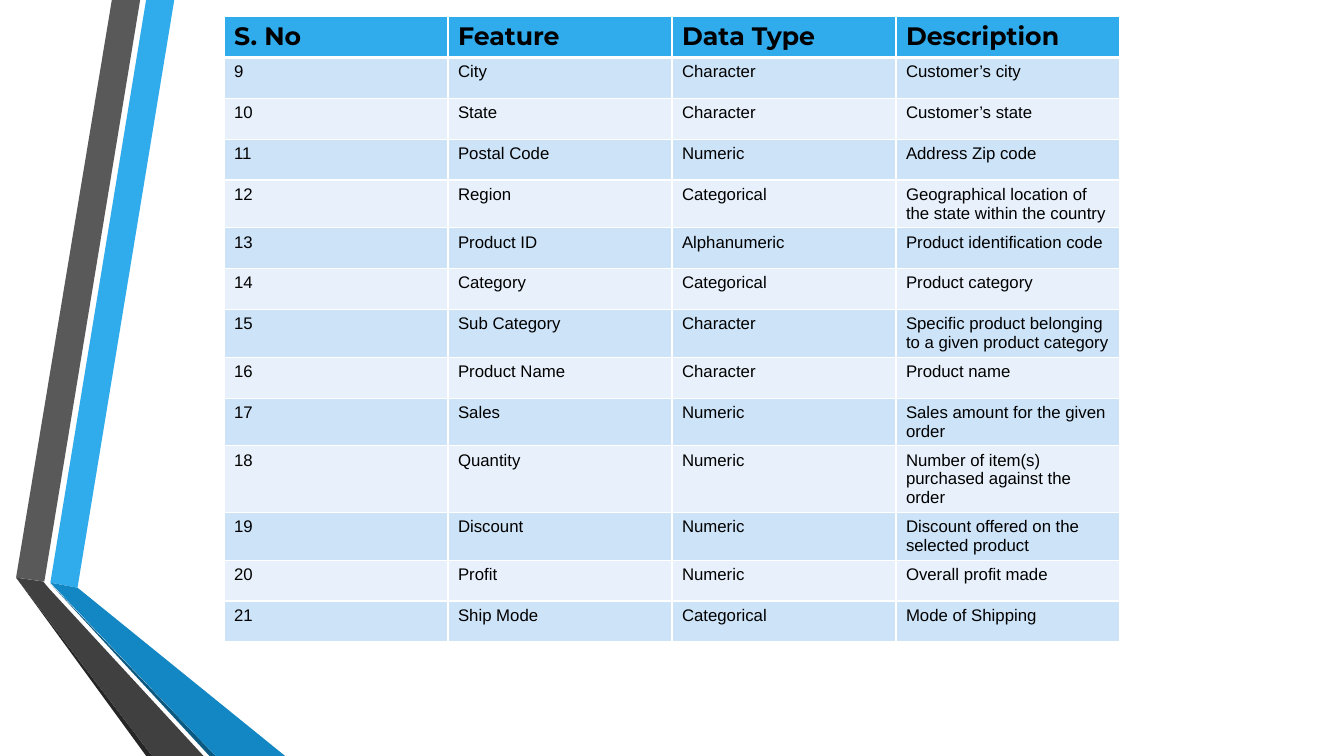
from lxml.etree import SubElement
from pptx import Presentation
from pptx.dml.color import RGBColor
from pptx.oxml.ns import qn
from pptx.util import Pt

SKY = RGBColor(0x30, 0xAC, 0xEC)
BLUE = RGBColor(0x12, 0x87, 0xC3)
DEEP_BLUE = RGBColor(0x0C, 0x5A, 0x82)
GRAY = RGBColor(0x59, 0x59, 0x59)
DARK_GRAY = RGBColor(0x40, 0x40, 0x40)
CHARCOAL = RGBColor(0x26, 0x26, 0x26)
BAND_DARK = RGBColor(0xCD, 0xE3, 0xF8)
BAND_LIGHT = RGBColor(0xE8, 0xF1, 0xFB)
WHITE = RGBColor(0xFF, 0xFF, 0xFF)
BLACK = RGBColor(0, 0, 0)

SLIDE_WIDTH, SLIDE_HEIGHT = 960, 540
RIBBON_BOX = (11.5, 0, 192.2, SLIDE_HEIGHT)
TABLE_BOX = (160, 11.8, 640, 405.6)
HEADER_HEIGHT = 26

RIBBONS = [
    (SKY, [(24.5, 416.2), (43.9, 419.8), (113, 0), (92.9, 0)]),
    (GRAY, [(88.6, 0), (68.4, 0), (0, 412.6), (20.2, 415.4)]),
    (CHARCOAL, [(0, 412.6), (92.9, 540), (97.2, 540)]),
    (DEEP_BLUE, [(24.5, 416.9), (138.2, 540), (142.6, 540)]),
    (BLUE, [(24.5, 416.2), (142.6, 540), (192.2, 540), (43.9, 419.8)]),
    (DARK_GRAY, [(133.9, 540), (23, 419.8), (19.4, 415.4), (0, 412.6), (97.2, 540)]),
]

HEADINGS = ("S. No", "Feature", "Data Type", "Description")
FIRST_NUMBER = 9
FEATURES = [
    ("City", "Character", "Customer’s city"),
    ("State", "Character", "Customer’s state"),
    ("Postal Code", "Numeric", "Address Zip code"),
    ("Region", "Categorical", "Geographical location of the state within the country"),
    ("Product ID", "Alphanumeric", "Product identification code"),
    ("Category", "Categorical", "Product category"),
    ("Sub Category", "Character", "Specific product belonging to a given product category"),
    ("Product Name", "Character", "Product name"),
    ("Sales", "Numeric", "Sales amount for the given order"),
    ("Quantity", "Numeric", "Number of item(s) purchased against the order"),
    ("Discount", "Numeric", "Discount offered on the selected product"),
    ("Profit", "Numeric", "Overall profit made"),
    ("Ship Mode", "Categorical", "Mode of Shipping"),
]

HEADER_FONT = {"name": "Montserrat", "size": Pt(18), "bold": True}
BODY_FONT = {"name": "Arial", "size": Pt(12), "bold": False}


def add_ribbons(slide, box):
    left, top, width, height = box
    for color, corners in RIBBONS:
        points = [(Pt(left + x), Pt(top + y)) for x, y in corners]
        builder = slide.shapes.build_freeform(*points[0])
        builder.add_line_segments(points[1:], close=True)
        shape = builder.convert_to_shape()
        shape.shadow.inherit = False
        shape.fill.solid()
        shape.fill.fore_color.rgb = color
        shape.line.fill.background()


def set_borders(cell, widths):
    properties = cell._tc.get_or_add_tcPr()
    for position, (side, width) in enumerate(widths.items()):
        line = SubElement(properties, qn(f"a:{side}"), w=str(Pt(width)))
        fill = SubElement(line, qn("a:solidFill"))
        SubElement(fill, qn("a:srgbClr"), val=str(WHITE))
        properties.insert(position, line)


def format_cell(cell, text, font_values, fill_color, top_border, bottom_border):
    cell.text = text
    cell.fill.solid()
    cell.fill.fore_color.rgb = fill_color
    font = cell.text_frame.paragraphs[0].runs[0].font
    for name, value in font_values.items():
        setattr(font, name, value)
    font.color.rgb = BLACK
    set_borders(cell, {"lnL": 1, "lnR": 1, "lnT": top_border, "lnB": bottom_border})


def add_feature_table(slide, box):
    left, top, width, height = box
    rows = [HEADINGS]
    rows += [(str(number), *feature) for number, feature in enumerate(FEATURES, FIRST_NUMBER)]
    frame = slide.shapes.add_table(
        len(rows), len(HEADINGS), Pt(left), Pt(top), Pt(width), Pt(height)
    )
    table = frame.table
    for column in table.columns:
        column.width = Pt(width / len(HEADINGS))
    body_height = (height - HEADER_HEIGHT) / len(FEATURES)
    for index, texts in enumerate(rows):
        is_header = index == 0
        table.rows[index].height = Pt(HEADER_HEIGHT if is_header else body_height)
        font_values = HEADER_FONT if is_header else BODY_FONT
        band = BAND_DARK if index % 2 else BAND_LIGHT
        for cell, text in zip(table.rows[index].cells, texts):
            format_cell(
                cell, text, font_values, SKY if is_header else band,
                3 if index == 1 else 1, 3 if is_header else 1,
            )


def main():
    presentation = Presentation()
    presentation.slide_width = Pt(SLIDE_WIDTH)
    presentation.slide_height = Pt(SLIDE_HEIGHT)
    slide = presentation.slides.add_slide(presentation.slide_layouts[6])
    add_ribbons(slide, RIBBON_BOX)
    add_feature_table(slide, TABLE_BOX)
    presentation.save("out.pptx")


if __name__ == "__main__":
    main()
